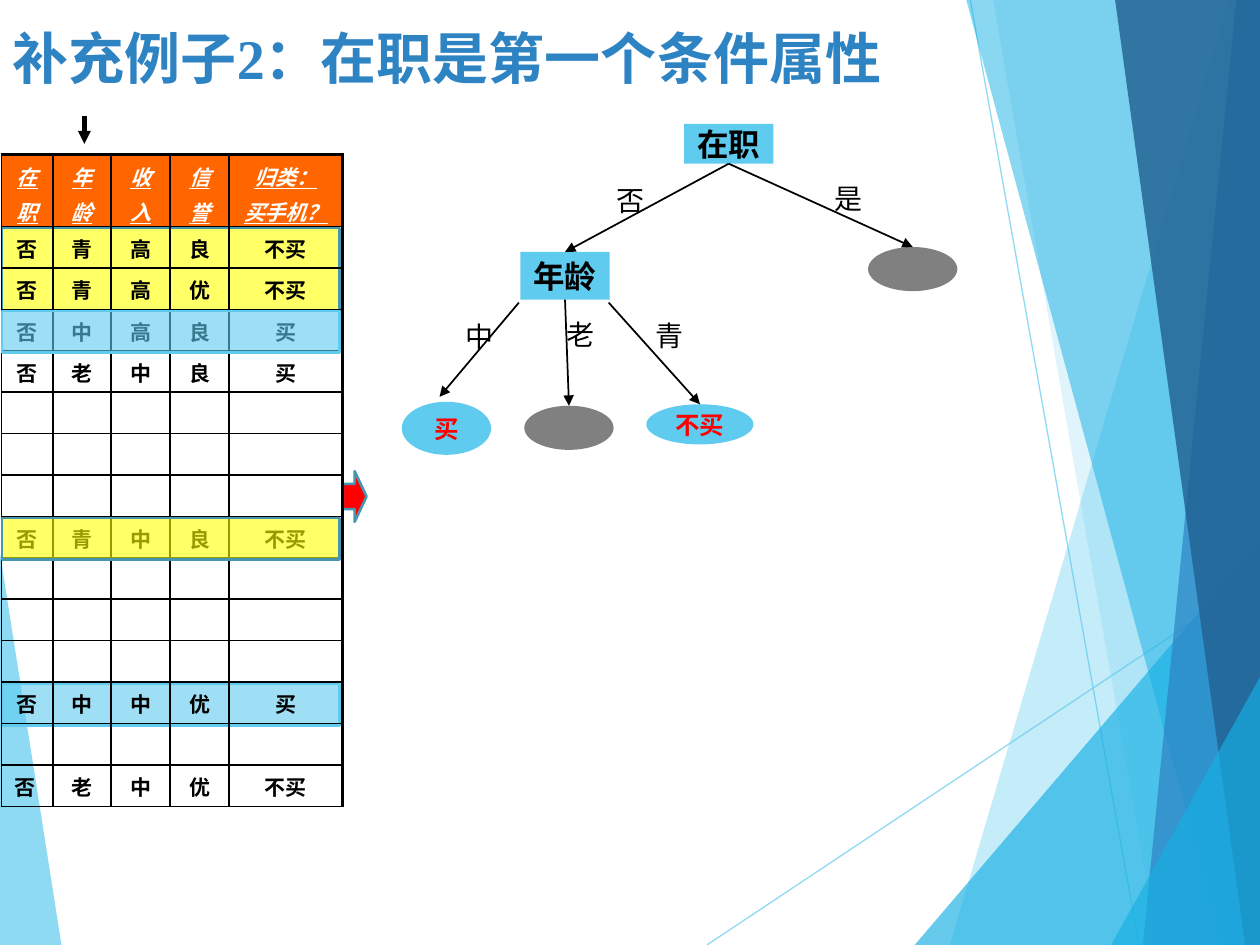
from lxml.etree import SubElement
from pptx import Presentation
from pptx.dml.color import RGBColor
from pptx.enum.shapes import MSO_CONNECTOR, MSO_SHAPE
from pptx.enum.text import MSO_ANCHOR, MSO_AUTO_SIZE, PP_ALIGN
from pptx.oxml.ns import qn
from pptx.util import Cm, Pt

COLORS = {
    "sky": "5FCBEF", "azure": "17B0E4", "blue": "2E83C3", "navy": "226292",
    "teal": "4696B1", "yellow": "FFFF00", "orange": "FF6600", "red": "FF0000",
    "gray": "808080", "black": "000000", "white": "FFFFFF",
}
SERIF, SANS, NODE = "Times New Roman", "Arial", "Lato"
BOTTOM, RIGHT = 19.05, 25.4

# Background facets: colour, opacity in percent, corners in cm
FACETS = [
    ("sky", 70, [(0, 11.15), (1.24, BOTTOM), (0, BOTTOM)]),
    ("sky", 36, [(24.77, 0), (19.15, BOTTOM), (RIGHT, BOTTOM), (RIGHT, 0)]),
    ("sky", 20, [(20.02, 0), (23.34, BOTTOM), (RIGHT, BOTTOM), (RIGHT, 0)]),
    ("azure", 66, [(18.44, BOTTOM), (RIGHT, 10.9), (RIGHT, BOTTOM)]),
    ("azure", 50, [(19.48, 0), (24.64, BOTTOM), (RIGHT, BOTTOM), (RIGHT, 0)]),
    ("blue", 70, [(24.92, 0), (23.04, BOTTOM), (RIGHT, BOTTOM), (RIGHT, 0)]),
    ("navy", 82, [(22.48, 0), (25.1, BOTTOM), (RIGHT, BOTTOM), (RIGHT, 0)]),
    ("azure", 66, [(22.4, BOTTOM), (RIGHT, 13.65), (RIGHT, BOTTOM)]),
]

HEADERS = ["在\n职", "年\n龄", "收\n入", "信\n誉", "归类：\n买手机？"]
RECORDS = {
    1: ("否", "青", "高", "良", "不买"),
    2: ("否", "青", "高", "优", "不买"),
    3: ("否", "中", "高", "良", "买"),
    4: ("否", "老", "中", "良", "买"),
    8: ("否", "青", "中", "良", "不买"),
    12: ("否", "中", "中", "优", "买"),
    14: ("否 ", "老", "中", "优", "不买"),
}
ROW_COUNT = 15
COLUMN_WIDTHS = [1.04, 1.17, 1.19, 1.19, 2.29]
TABLE_TOP, TABLE_HEIGHT, HEADER_HEIGHT = 3.12, 13.11, 1.42
ROW_HEIGHT = (TABLE_HEIGHT - HEADER_HEIGHT) / (ROW_COUNT - 1)

BRANCH_LABELS = [("否", 11.91, 3.58), ("是", 16.31, 3.53), ("中", 8.86, 6.32),
                 ("老", 10.9, 6.27), ("青", 12.7, 6.3)]


def rgb(color):
    return RGBColor.from_string(COLORS[color])


def set_alpha(properties, percent):
    """Make every solid colour below the given XML element translucent."""
    for color in properties.iter(qn("a:srgbClr")):
        SubElement(color, qn("a:alpha")).set("val", str(percent * 1000))


class Deck:
    def __init__(self):
        self.presentation = Presentation()
        self.presentation.slide_width = Cm(RIGHT)
        self.presentation.slide_height = Cm(BOTTOM)
        self.slide = self.presentation.slides.add_slide(self.presentation.slide_layouts[5])
        self.shapes = self.slide.shapes

    def style(self, paragraph, size, color, font, bold=False, align=PP_ALIGN.CENTER):
        paragraph.alignment = align
        paragraph.font.size = Pt(size)
        paragraph.font.name = font
        paragraph.font.bold = bold
        paragraph.font.color.rgb = rgb(color)

    def title(self, text, left, top, width, height):
        title = self.shapes.title
        title.left, title.top, title.width, title.height = map(Cm, (left, top, width, height))
        frame = title.text_frame
        frame.text = text
        frame.auto_size = MSO_AUTO_SIZE.NONE
        frame.vertical_anchor = MSO_ANCHOR.MIDDLE
        self.style(frame.paragraphs[0], 32, "blue", SERIF, True, PP_ALIGN.LEFT)

    def facet(self, color, opacity, corners):
        points = [(Cm(x), Cm(y)) for x, y in corners]
        builder = self.shapes.build_freeform(*points[0])
        builder.add_line_segments(points[1:], close=True)
        self.paint(builder.convert_to_shape(), color, opacity=opacity)

    def paint(self, shape, fill, line=None, opacity=None):
        shape.shadow.inherit = False
        shape.fill.solid()
        shape.fill.fore_color.rgb = rgb(fill)
        if opacity:
            set_alpha(shape._element.spPr, opacity)
        if line:
            shape.line.color.rgb = rgb(line)
            shape.line.width = Pt(1.5)
        else:
            shape.line.fill.background()

    def block(self, kind, left, top, width, height, fill, line=None, opacity=None):
        shape = self.shapes.add_shape(kind, Cm(left), Cm(top), Cm(width), Cm(height))
        self.paint(shape, fill, line, opacity)
        return shape

    def node(self, kind, left, top, width, height, fill, text="", size=18, color="black"):
        node = self.block(kind, left, top, width, height, fill)
        if text:
            frame = node.text_frame
            frame.margin_left = frame.margin_right = 0
            frame.margin_top = frame.margin_bottom = 0
            frame.vertical_anchor = MSO_ANCHOR.MIDDLE
            frame.text = text
            self.style(frame.paragraphs[0], size, color, NODE, True)
        return node

    def label(self, text, left, top):
        frame = self.shapes.add_textbox(Cm(left), Cm(top), Cm(1.6), Cm(0.94)).text_frame
        frame.word_wrap = True
        frame.text = text
        self.style(frame.paragraphs[0], 16, "black", SERIF)

    def line(self, start, end, color="black", width=1.0, arrow=True, opacity=None):
        """Draw a line; each end is an (x, y) point or a (shape, site) joint."""
        joined = [not isinstance(point[0], (int, float)) for point in (start, end)]
        x1, y1 = (0, 0) if joined[0] else start
        x2, y2 = (0, 0) if joined[1] else end
        line = self.shapes.add_connector(MSO_CONNECTOR.STRAIGHT, Cm(x1), Cm(y1), Cm(x2), Cm(y2))
        if joined[0]:
            line.begin_connect(*start)
        if joined[1]:
            line.end_connect(*end)
        line.line.color.rgb = rgb(color)
        line.line.width = Pt(width)
        properties = line._element.spPr
        if opacity:
            set_alpha(properties, opacity)
        if arrow:
            SubElement(properties.find(qn("a:ln")), qn("a:tailEnd")).set("type", "triangle")
        SubElement(properties, qn("a:effectLst"))

    def highlight(self, row, fill, line, rows=1):
        top = TABLE_TOP + HEADER_HEIGHT + (row - 1) * ROW_HEIGHT + 0.06
        self.block(MSO_SHAPE.RECTANGLE, 0.04, top, 6.8, rows * ROW_HEIGHT, fill, line, 60)

    def border(self, cell, side, width):
        line = SubElement(cell._tc.get_or_add_tcPr(), qn(f"a:ln{side}"), w=str(Pt(width)))
        fill = SubElement(line, qn("a:solidFill"))
        SubElement(fill, qn("a:srgbClr")).set("val", COLORS["black"])

    def cell(self, cell, text, is_header, is_last):
        cell.margin_top, cell.margin_bottom = Cm(0.13), 0
        for side, heavy in (("L", False), ("R", is_last), ("T", is_header), ("B", False)):
            self.border(cell, side, 2.25 if heavy else 1)
        if is_header:
            cell.fill.solid()
            cell.fill.fore_color.rgb = rgb("orange")
        else:
            cell.fill.background()
        cell.text_frame.text = text
        for index, paragraph in enumerate(cell.text_frame.paragraphs):
            self.style(paragraph, 12, "white" if is_header else "black",
                       SERIF if is_header else SANS, True)
            paragraph.font.italic = paragraph.font.underline = is_header
            if index:
                paragraph.space_before = Pt(2.4)
            if not text:
                SubElement(paragraph._p, qn("a:endParaRPr")).set("sz", "1200")

    def records_table(self):
        table = self.shapes.add_table(ROW_COUNT, len(HEADERS), Cm(0.03), Cm(TABLE_TOP),
                                      Cm(sum(COLUMN_WIDTHS)), Cm(TABLE_HEIGHT)).table
        table.first_row = table.horz_banding = False
        for column, width in zip(table.columns, COLUMN_WIDTHS):
            column.width = Cm(width)
        for r, row in enumerate(table.rows):
            row.height = Cm(ROW_HEIGHT if r else HEADER_HEIGHT)
            texts = RECORDS.get(r, [""] * len(HEADERS)) if r else HEADERS
            for c, text in enumerate(texts):
                self.cell(table.cell(r, c), text, r == 0, c == len(HEADERS) - 1)

    def decision_tree(self):
        box, oval = MSO_SHAPE.RECTANGLE, MSO_SHAPE.OVAL
        employed = self.node(box, 13.79, 2.5, 1.8, 0.8, "sky", "在职")
        age = self.node(box, 10.49, 5.08, 1.8, 0.96, "sky", "年龄")
        yes_leaf = self.node(oval, 17.5, 4.98, 1.8, 0.89, "gray")
        old_leaf = self.node(oval, 10.57, 8.18, 1.8, 0.89, "gray")
        self.node(oval, 8.1, 8.1, 1.8, 1.07, "sky", "买", 14, "red")
        young_leaf = self.node(oval, 13.03, 8.15, 2.16, 0.81, "sky", "不买", 14, "red")
        for start, end in [((employed, 2), (age, 0)), ((employed, 2), (yes_leaf, 0)),
                           ((10.46, 6.1), (8.86, 8.0)), ((age, 2), (old_leaf, 0)),
                           ((12.27, 6.1), (young_leaf, 0))]:
            self.line(start, end)
        for text, left, top in BRANCH_LABELS:
            self.label(text, left, top)


def main():
    deck = Deck()
    for position, facet in enumerate(FACETS):
        deck.facet(*facet)
        if position == 0:
            deck.line((14.25, BOTTOM), (RIGHT, 11.63), "sky", 0.75, False, 70)
            deck.line((19.56, 0), (22.96, BOTTOM), "sky", 0.75, False, 70)
    deck.title("补充例子2：在职是第一个条件属性", 0, 0.48, 21.84, 1.35)
    deck.block(MSO_SHAPE.RIGHT_ARROW, 6.91, 9.5, 0.48, 1.02, "red", "teal")
    deck.line((1.7, 2.34), (1.7, 2.9), width=2.5)
    deck.highlight(12, "sky", "sky")
    deck.highlight(1, "yellow", "teal", rows=2)
    deck.records_table()
    deck.highlight(8, "yellow", "teal")
    deck.highlight(3, "sky", "sky")
    deck.decision_tree()
    deck.presentation.save("out.pptx")


if __name__ == "__main__":
    main()
